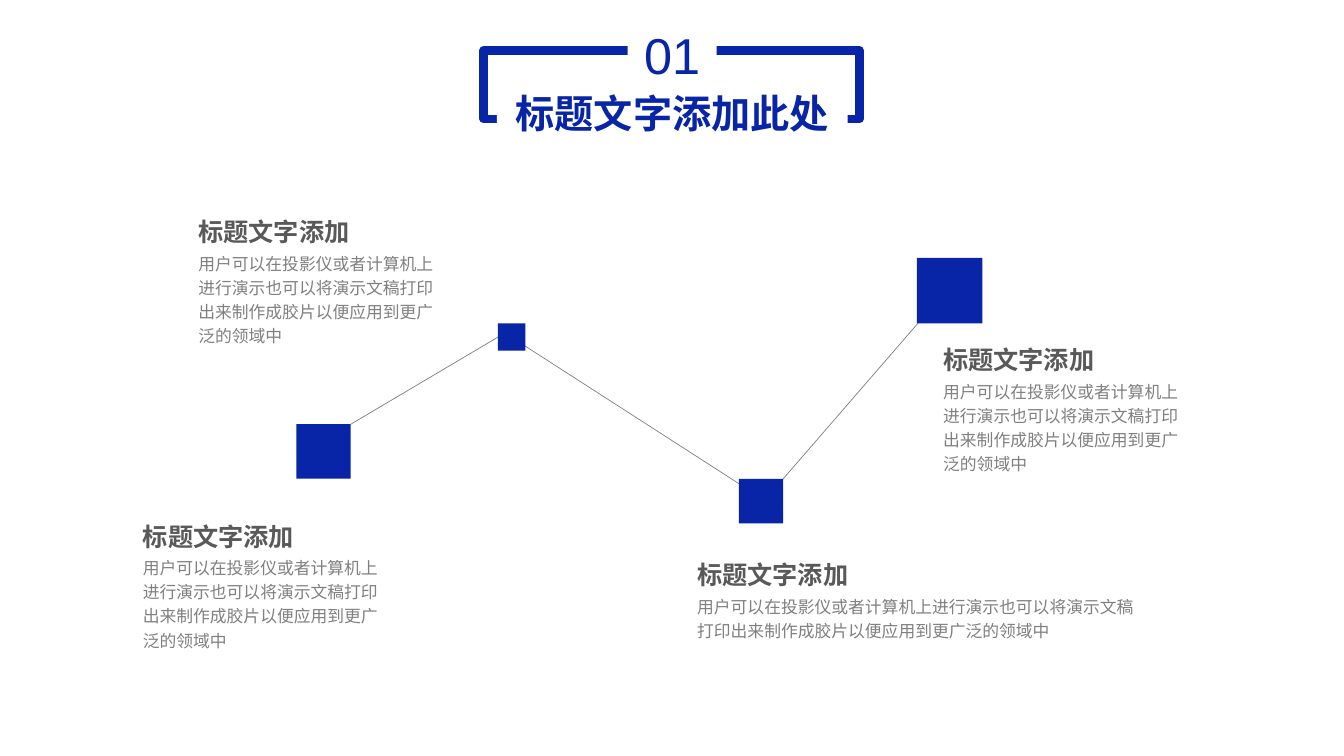
from lxml import etree
from pptx import Presentation
from pptx.dml.color import RGBColor
from pptx.enum.shapes import MSO_CONNECTOR, MSO_SHAPE
from pptx.enum.text import MSO_ANCHOR, MSO_AUTO_SIZE, PP_ALIGN
from pptx.oxml.ns import qn
from pptx.util import Cm, Pt

RECTANGLE = MSO_SHAPE.RECTANGLE
STRAIGHT = MSO_CONNECTOR.STRAIGHT
MIDDLE = MSO_ANCHOR.MIDDLE
GROW = MSO_AUTO_SIZE.SHAPE_TO_FIT_TEXT
CENTER = PP_ALIGN.CENTER
LEFT_SIDE = 1

BLUE = RGBColor(0x08, 0x24, 0xA7)
WHITE = RGBColor(0xFF, 0xFF, 0xFF)
GRAY = RGBColor(0x80, 0x80, 0x80)
DARK_GRAY = RGBColor(0x59, 0x59, 0x59)

LATIN_FONT = "Arial"
CHINESE_FONT = "Noto Sans CJK SC"
NUMBER_FORMAT = {"name": LATIN_FONT, "size": Pt(36), "bold": False}
TITLE_FORMAT = {"name": LATIN_FONT, "size": Pt(28), "bold": True}
HEADING_FORMAT = {"name": CHINESE_FONT, "size": Pt(18), "bold": True}
BODY_FORMAT = {"name": CHINESE_FONT, "size": Pt(12), "bold": False}

HEADING = "标题文字添加"
BODY = "用户可以在投影仪或者计算机上进行演示也可以将演示文稿打印出来制作成胶片以便应用到更广泛的领域中"

# Lengths in centimetres
MARKERS = [  # left, top, side
    (7.47, 10.69, 1.37),
    (12.55, 8.15, 0.69),
    (18.62, 12.07, 1.12),
    (23.11, 6.5, 1.65),
]
LINES = [  # start x, start y, end x, end y
    (8.84, 10.69, 12.55, 8.49),
    (13.11, 8.64, 18.75, 12.27),
    (19.56, 12.27, 23.52, 7.7),
]
CAPTIONS = [  # left, top, body width, body height
    (23.52, 8.41, 6.81, 2.67),
    (3.35, 12.85, 6.81, 2.67),
    (4.75, 5.18, 6.81, 2.67),
    (17.32, 13.82, 11.61, 1.5),
]
HEADING_WIDTH, HEADING_HEIGHT = 6.22, 1.09
BODY_OFFSET = 0.98


def to_cm(values):
    return [Cm(value) for value in values]


def write_text(shape, text, text_format, color):
    """Fill the shape with one paragraph and return that paragraph."""
    frame = shape.text_frame
    frame.word_wrap = True
    frame.auto_size = GROW
    paragraph = frame.paragraphs[0]
    run = paragraph.add_run()
    run.text = text
    for name, value in text_format.items():
        setattr(run.font, name, value)
    run.font.color.rgb = color
    east_asian = etree.SubElement(run.font._element, qn("a:ea"))
    east_asian.set("typeface", CHINESE_FONT)
    return paragraph


def add_rectangle(slide, box, fill=None, line=None):
    shape = slide.shapes.add_shape(RECTANGLE, *to_cm(box))
    shape.shadow.inherit = False
    if fill is None:
        shape.fill.background()
    else:
        shape.fill.solid()
        shape.fill.fore_color.rgb = fill
    if line is None:
        shape.line.fill.background()
    else:
        shape.line.color.rgb = line
        shape.line.width = Pt(6)
    return shape


def add_title_part(slide, box, text, text_format):
    shape = add_rectangle(slide, box, fill=WHITE)
    paragraph = write_text(shape, text, text_format, BLUE)
    paragraph.alignment = CENTER
    shape.text_frame.vertical_anchor = MIDDLE


def add_line(slide, ends):
    connector = slide.shapes.add_connector(STRAIGHT, *to_cm(ends))
    connector.line.color.rgb = GRAY
    connector.line.width = Pt(0.5)
    etree.SubElement(connector._element.spPr, qn("a:effectLst"))
    return connector


def add_caption(slide, left, top, body_width, body_height):
    group = slide.shapes.add_group_shape()
    body_box = (left, top + BODY_OFFSET, body_width, body_height)
    heading_box = (left, top, HEADING_WIDTH, HEADING_HEIGHT)
    for box, text, text_format, color in (
        (body_box, BODY, BODY_FORMAT, GRAY),
        (heading_box, HEADING, HEADING_FORMAT, DARK_GRAY),
    ):
        text_box = group.shapes.add_textbox(*to_cm(box))
        write_text(text_box, text, text_format, color).line_spacing = 1.2


def main():
    presentation = Presentation()
    presentation.slide_width = Cm(33.87)
    presentation.slide_height = Cm(19.05)
    slide = presentation.slides.add_slide(presentation.slide_layouts[6])

    # Framed title
    add_rectangle(slide, (12.19, 1.27, 9.47, 1.73), line=BLUE)
    add_title_part(slide, (15.82, 0.46, 2.24, 1.8), "01", NUMBER_FORMAT)
    add_title_part(slide, (12.52, 2.11, 8.84, 1.45), "标题文字添加此处", TITLE_FORMAT)

    # Zigzag path, with the lines behind the markers
    lines = [add_line(slide, ends) for ends in LINES]
    markers = [
        add_rectangle(slide, (left, top, side, side), fill=BLUE)
        for left, top, side in MARKERS
    ]
    lines[0].end_connect(markers[1], LEFT_SIDE)

    # Captions
    for caption in CAPTIONS:
        add_caption(slide, *caption)

    presentation.save("out.pptx")


if __name__ == "__main__":
    main()
